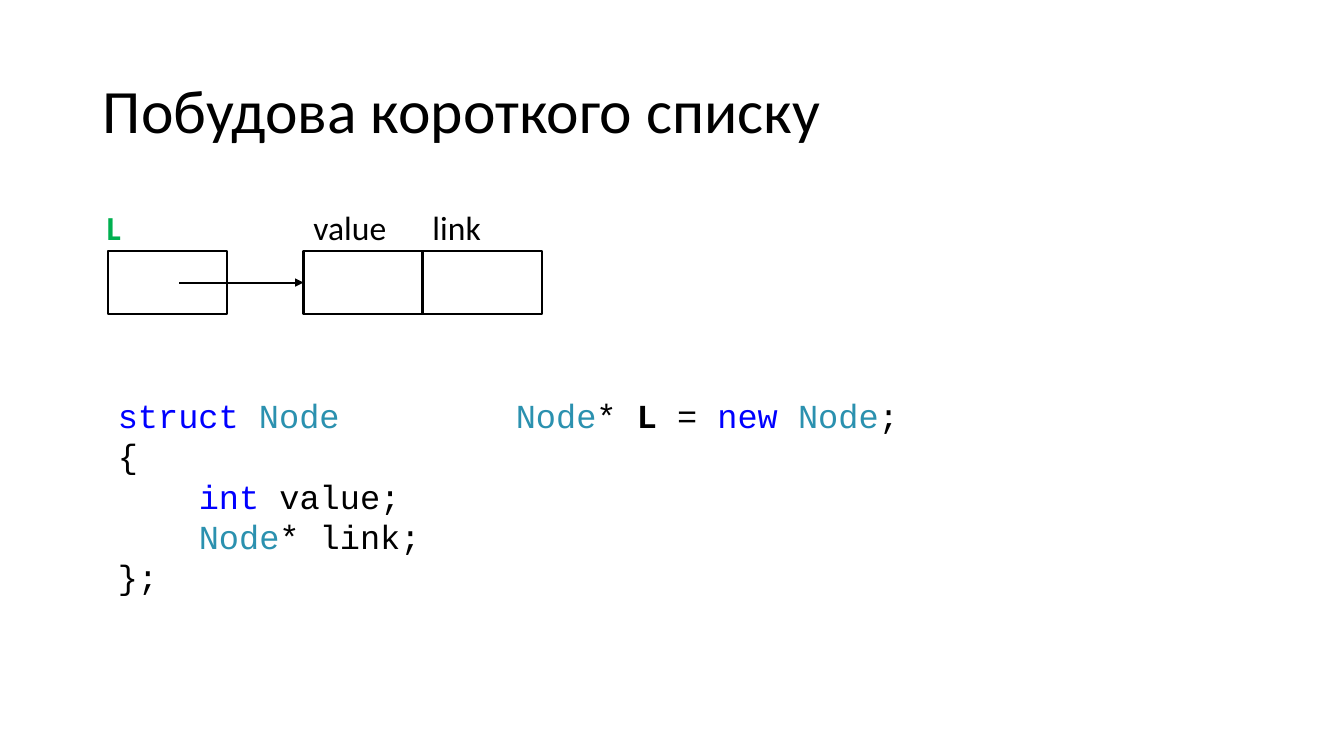
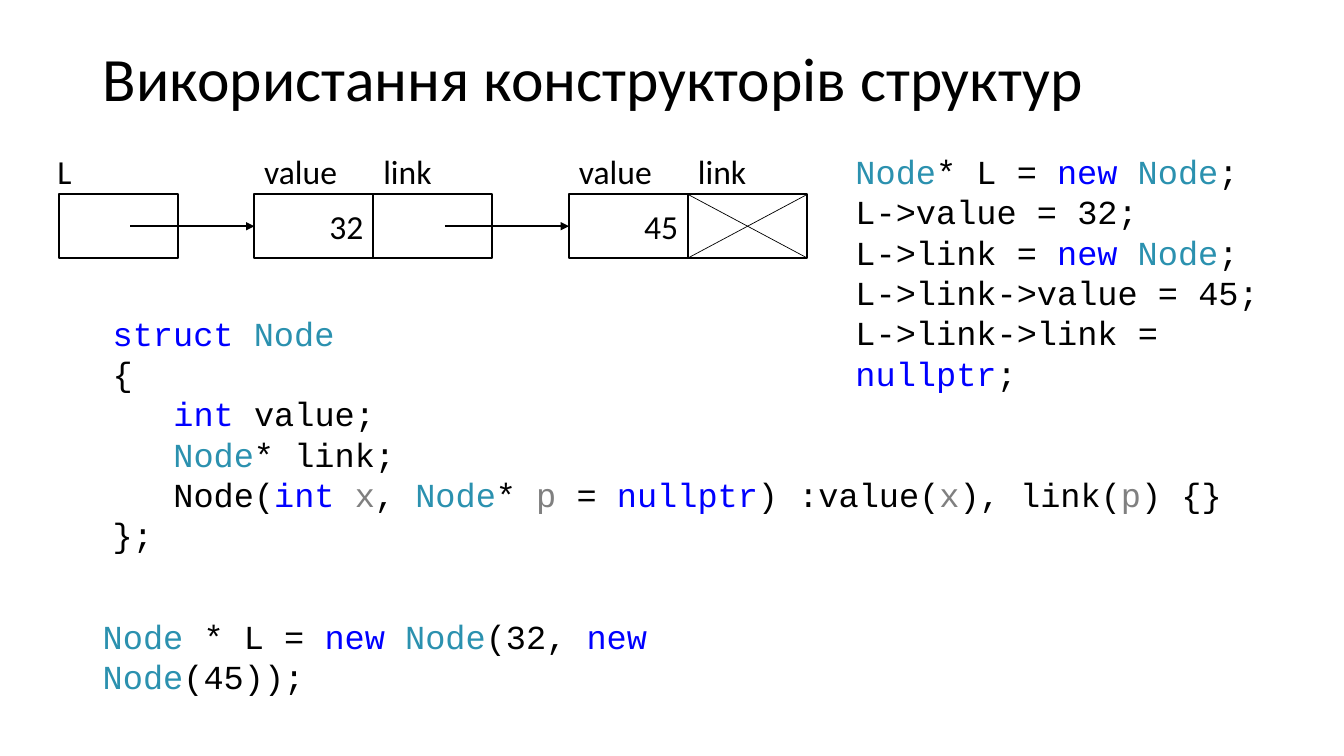
import itertools

import pptx
import pptx.dml.color
import pptx.enum.shapes
import pptx.enum.text
import pptx.oxml
import pptx.oxml.ns
import pptx.util

Cm = pptx.util.Cm
Pt = pptx.util.Pt
RGBColor = pptx.dml.color.RGBColor
Align = pptx.enum.text.PP_ALIGN
Anchor = pptx.enum.text.MSO_ANCHOR
AutoSize = pptx.enum.text.MSO_AUTO_SIZE

BLACK = RGBColor(0x00, 0x00, 0x00)
GREEN = RGBColor(0x00, 0xB0, 0x50)
KEYWORD = RGBColor(0x00, 0x00, 0xFF)
TYPE = RGBColor(0x2B, 0x91, 0xAF)
PARAMETER = RGBColor(0x80, 0x80, 0x80)

SYNTAX = {
    **dict.fromkeys(("struct", "int", "new", "nullptr"), KEYWORD),
    "Node": TYPE,
    **dict.fromkeys(("x", "p"), PARAMETER),
}
TEXT_FONT, CODE_FONT = "Calibri", "Courier New"
TITLE_SIZE, BODY_SIZE = 44, 24
CODE_CHAR, CODE_LINE = 0.51, 1.03
CELL_WIDTH, CELL_HEIGHT = 3.0, 1.6
NODE_STEP = 4.93
LABEL_RISE = 1.23


class Deck:
    """Shared style and the slide being drawn; lengths are centimetres."""

    def __init__(self):
        """Start an empty widescreen presentation."""
        self.presentation = pptx.Presentation()
        self.presentation.slide_width = Cm(33.87)
        self.presentation.slide_height = Cm(19.05)
        self.slide = None

    def style(self, run, color=BLACK, bold=False, font=TEXT_FONT, size=BODY_SIZE):
        """Format one run."""
        run.font.name = font
        run.font.size = Pt(size)
        run.font.bold = bold
        run.font.color.rgb = color

    def add_slide(self, heading, height):
        """Open a new slide with a left-aligned title."""
        self.slide = self.presentation.slides.add_slide(
            self.presentation.slide_layouts.get_by_name("Title Only"))
        title = self.slide.shapes.title
        title.left, title.top = Cm(2.34), Cm(1.02)
        title.width, title.height = Cm(29.21), Cm(height)
        frame = title.text_frame
        frame.text = heading
        frame.auto_size = AutoSize.NONE
        frame.vertical_anchor = Anchor.MIDDLE
        paragraph = frame.paragraphs[0]
        paragraph.alignment = Align.LEFT
        paragraph.line_spacing = 0.9
        self.style(paragraph.runs[0], size=TITLE_SIZE)

    def text_frame(self, left, top, width, height):
        """Add a wrapping text box that grows with its text."""
        frame = self.slide.shapes.add_textbox(
            Cm(left), Cm(top), Cm(width), Cm(height)).text_frame
        frame.word_wrap = True
        frame.auto_size = AutoSize.SHAPE_TO_FIT_TEXT
        return frame

    def label(self, text, left, cell_top, width, color=BLACK, bold=False):
        """Name the cell below."""
        frame = self.text_frame(left, cell_top - LABEL_RISE, width, 1.27)
        frame.text = text
        self.style(frame.paragraphs[0].runs[0], color, bold)

    def cell(self, left, top, value=""):
        """Draw a memory cell, with its value at the right."""
        box = self.slide.shapes.add_shape(
            pptx.enum.shapes.MSO_SHAPE.RECTANGLE,
            Cm(left), Cm(top), Cm(CELL_WIDTH), Cm(CELL_HEIGHT))
        box.shadow.inherit = False
        box.fill.background()
        box.line.color.rgb = BLACK
        box.line.width = Pt(1.5)
        if value:
            frame = box.text_frame
            frame.text = value
            frame.vertical_anchor = Anchor.MIDDLE
            frame.paragraphs[0].alignment = Align.RIGHT
            self.style(frame.paragraphs[0].runs[0])

    def line(self, x1, y1, x2, y2, width):
        """Draw a plain black line and return it."""
        connector = self.slide.shapes.add_connector(
            pptx.enum.shapes.MSO_CONNECTOR.STRAIGHT,
            Cm(x1), Cm(y1), Cm(x2), Cm(y2))
        connector.line.color.rgb = BLACK
        connector.line.width = Pt(width)
        pptx.oxml.ns.qn("a:effectLst")
        connector._element.spPr.append(pptx.oxml.parse_xml(
            "<a:effectLst %s/>" % pptx.oxml.ns.nsdecls("a")))
        return connector

    def pointer(self, cell_left, top):
        """Point from inside a cell to the next node."""
        middle = top + CELL_HEIGHT / 2
        arrow = self.line(cell_left + 0.6 * CELL_WIDTH, middle,
                          cell_left + NODE_STEP, middle, 1.5)
        arrow.line._get_or_add_ln().append(pptx.oxml.parse_xml(
            '<a:tailEnd %s type="triangle"/>' % pptx.oxml.ns.nsdecls("a")))

    def null_cross(self, left, top):
        """Cross out a cell that holds a null pointer."""
        right, bottom = left + CELL_WIDTH, top + CELL_HEIGHT
        self.line(left, top, right, bottom, 0.5)
        self.line(left, bottom, right, top, 0.5)

    def linked_list(self, left, top, values, head_color=BLACK,
                    head_bold=False, ends_in_null=False):
        """Draw the head pointer L and a chain of nodes."""
        self.cell(left, top)
        self.label("L", left - 0.28, top, 1.4, head_color, head_bold)
        link_left = left
        for value in values:
            self.pointer(link_left, top)
            value_left = link_left + NODE_STEP
            link_left = value_left + CELL_WIDTH
            self.cell(value_left, top, value)
            self.cell(link_left, top)
            self.label("value", value_left, top, 2.4)
            self.label("link", link_left, top, 2.06)
        if ends_in_null:
            self.null_cross(link_left, top)

    def code(self, left, top, width, lines, bold_words=()):
        """Write highlighted code; leading spaces become an indent."""
        frame = self.text_frame(left, top, width, CODE_LINE * len(lines) + 0.25)
        for number, line in enumerate(lines):
            paragraph = frame.add_paragraph() if number else frame.paragraphs[0]
            statement = line.lstrip()
            indent = len(line) - len(statement)
            if indent:
                paragraph._p.get_or_add_pPr().set(
                    "marL", str(Cm(indent * CODE_CHAR)))
            is_constructor = statement.startswith("Node(")
            for place, (_, letters) in enumerate(
                    itertools.groupby(statement, str.isalnum)):
                word = "".join(letters)
                run = paragraph.add_run()
                run.text = word
                color = SYNTAX.get(word, BLACK)
                if is_constructor and place == 0:
                    color = BLACK
                self.style(run, color, word in bold_words, CODE_FONT)


def short_list(deck):
    """Slide on building a short list."""
    deck.add_slide("Побудова короткого списку", 3.68)
    deck.linked_list(2.72, 6.32, [""], GREEN, head_bold=True)
    deck.code(12.75, 9.83, 17.02, ["Node* L = new Node;"], bold_words=("L",))
    deck.code(2.72, 9.83, 9.98, [
        "struct Node",
        "{",
        "    int value;",
        "    Node* link;",
        "};",
    ])


def constructors(deck):
    """Slide on structure constructors."""
    deck.add_slide("Використання конструкторів структур", 2.06)
    deck.code(2.59, 7.75, 30.25, [
        "struct Node",
        "{",
        "   int value;",
        "   Node* link;",
        "   Node(int x, Node* p = nullptr) :value(x), link(p) {}",
        "};",
    ])
    deck.code(2.34, 15.39, 18.92, ["Node * L = new Node(32, new Node(45));"])
    deck.code(21.31, 3.68, 11.81, [
        "Node* L = new Node;",
        "L->value = 32;",
        "L->link = new Node;",
        "L->link->value = 45;",
        "L->link->link = nullptr;",
    ])
    deck.linked_list(1.48, 4.9, ["32", "45"], ends_in_null=True)


deck = Deck()
short_list(deck)
constructors(deck)
deck.presentation.save("out.pptx")
